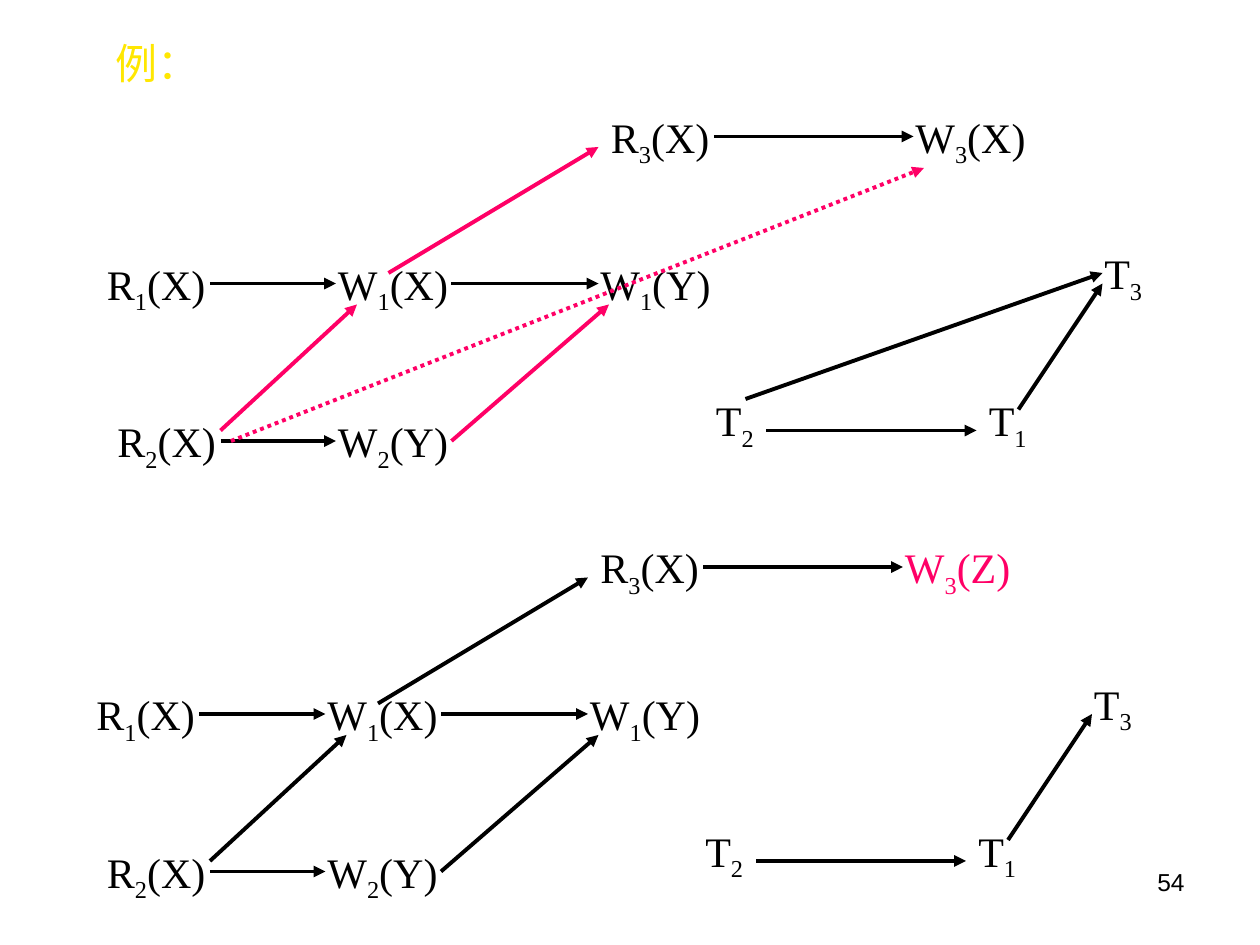
from lxml import etree
from pptx import Presentation
from pptx import util as u
from pptx.dml.color import RGBColor
from pptx.enum import dml, shapes, text
from pptx.oxml import ns

BLACK = RGBColor(0x00, 0x00, 0x00)
PINK = RGBColor(0xFF, 0x00, 0x66)
YELLOW = RGBColor(0xFF, 0xE7, 0x01)
SERIF = "Times New Roman"
SANS = "Arial"
HAN = "Noto Sans CJK SC"
CELL = u.Inches(1) // 12
LOWER = (-1, 41)

NODES = {
    "R1(X)": (9, 24), "W1(X)": (31, 24), "W1(Y)": (56, 24),
    "R2(X)": (10, 39), "W2(Y)": (31, 39), "R3(X)": (57, 10),
    "T2": (67, 37), "T1": (93, 37), "T3": (104, 23),
}
ORDER = [
    (20, 27, 32, 27), (21, 42, 32, 42), (43, 27, 57, 27),
    (68, 13, 87, 13), (73, 41, 93, 41), (97, 39, 105, 27),
]
CLASH = [(21, 41, 34, 29), (43, 42, 58, 29), (37, 26, 57, 14)]
LAST = (86, 10)


def style(para, face, size, color):
    font = para.font
    font.name, font.size = face, u.Pt(size)
    font.color.rgb = color


def label(slide, name, spot, shift, color=BLACK):
    col, row = spot[0] + shift[0], spot[1] + shift[1]
    wide = 14 if len(name) > 2 else 7
    box = slide.shapes.add_textbox(
        col * CELL, row * CELL, wide * CELL, u.Inches(0.56))
    box.text_frame.word_wrap = True
    para = box.text_frame.paragraphs[0]
    style(para, SERIF, 24, color)
    for part in filter(None, (name[0], name[1], name[2:])):
        run = para.add_run()
        run.text = part
        if part.isdigit():
            run.font._element.set("baseline", "-25000")


def arrow(slide, ends, shift, color=BLACK, dash=None):
    left, top, right, base = ends
    dx, dy = shift
    line = slide.shapes.add_connector(
        shapes.MSO_CONNECTOR.STRAIGHT,
        (left + dx) * CELL, (top + dy) * CELL,
        (right + dx) * CELL, (base + dy) * CELL)
    line.line.color.rgb = color
    line.line.width = u.Pt(2.25)
    if dash:
        line.line.dash_style = dash
    etree.SubElement(line.line._get_or_add_ln(), ns.qn("a:tailEnd"), type="triangle")
    etree.SubElement(line._element.spPr, ns.qn("a:effectLst"))


def graph(slide, shift, last, tint, clash):
    for name, spot in NODES.items():
        label(slide, name, spot, shift)
    label(slide, last, LAST, shift, tint)
    for ends in ORDER:
        arrow(slide, ends, shift)
    for ends in CLASH:
        arrow(slide, ends, shift, clash)


def title(slide):
    box = slide.shapes.title
    box.left, box.top, box.width, box.height = (
        6 * CELL, 3 * CELL, 18 * CELL, 11 * CELL)
    frame = box.text_frame
    frame.text = "例："
    frame.auto_size = text.MSO_AUTO_SIZE.NONE
    frame.vertical_anchor = text.MSO_ANCHOR.TOP
    para = frame.paragraphs[0]
    para.alignment = text.PP_ALIGN.CENTER
    style(para, HAN, 24, YELLOW)
    font = para._p.pPr.find(ns.qn("a:defRPr"))
    etree.SubElement(font, ns.qn("a:ea"), typeface=HAN)


def number(slide):
    box = slide.shapes.add_textbox(86 * CELL, 82 * CELL, 28 * CELL, 6 * CELL)
    box.text_frame.word_wrap = True
    para = box.text_frame.paragraphs[0]
    para.text = "54"
    para.alignment = text.PP_ALIGN.RIGHT
    style(para, SANS, 14, BLACK)


def main():
    deck = Presentation()
    deck.slide_width, deck.slide_height = u.Inches(10), u.Inches(7.5)
    slide = deck.slides.add_slide(deck.slide_layouts[5])
    graph(slide, LOWER, "W3(Z)", PINK, BLACK)
    graph(slide, (0, 0), "W3(X)", BLACK, PINK)
    arrow(slide, (71, 38, 105, 26), (0, 0))
    arrow(slide, (22, 42, 88, 16), (0, 0), PINK, dml.MSO_LINE.ROUND_DOT)
    title(slide)
    number(slide)
    deck.save("out.pptx")


if __name__ == "__main__":
    main()
